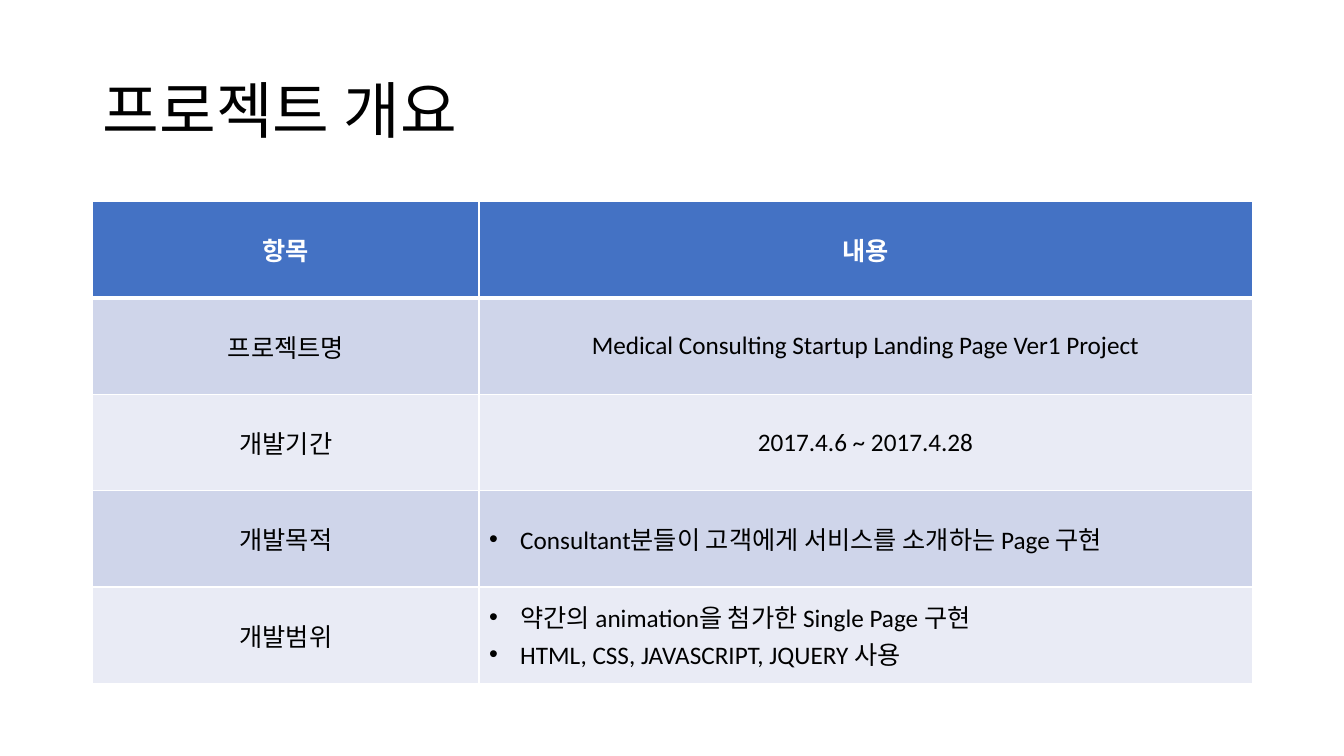
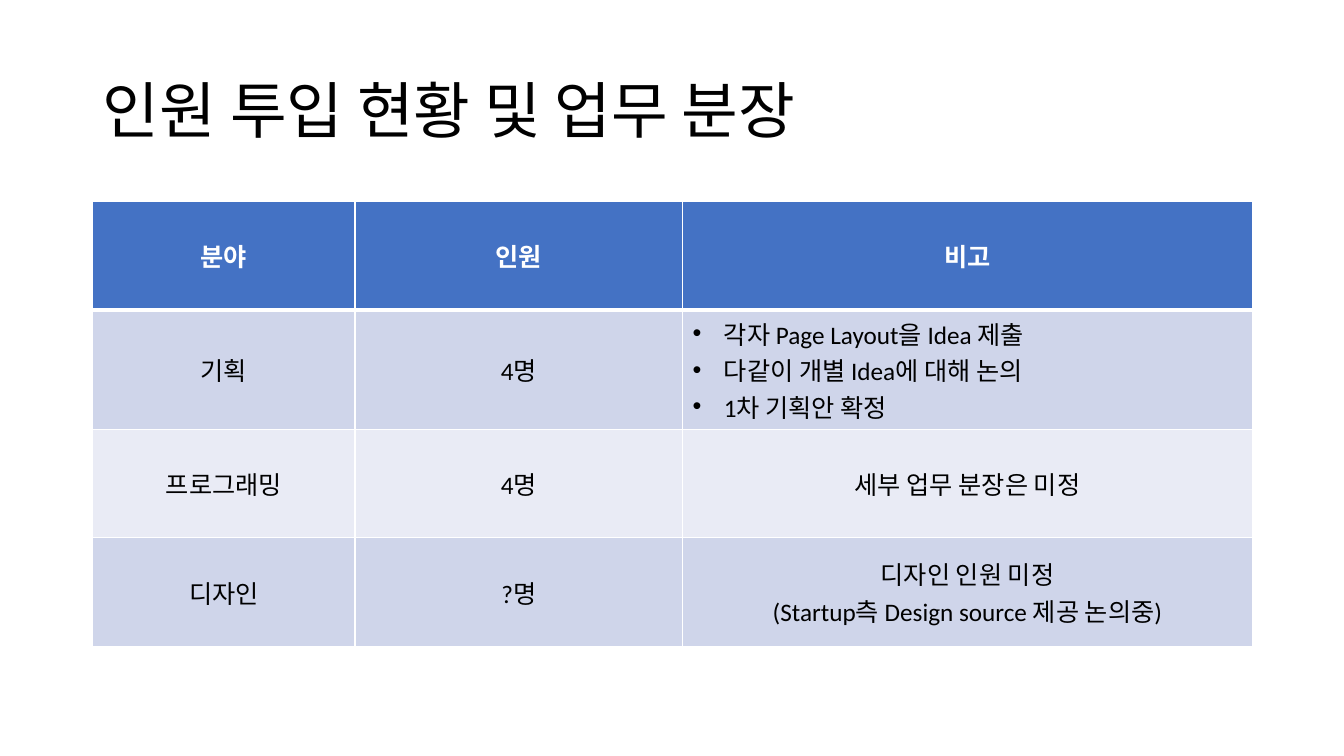
import pptx
import pptx.util
import pptx.dml.color
import pptx.enum.text
import pptx.oxml
import pptx.oxml.ns

Inches, Pt = pptx.util.Inches, pptx.util.Pt
RGBColor = pptx.dml.color.RGBColor
PP_ALIGN = pptx.enum.text.PP_ALIGN
MIDDLE = pptx.enum.text.MSO_ANCHOR.MIDDLE

# Each cell is a string (centred), a tuple (centred lines) or a list (bullets).
SLIDES = [
    {
        "title": "프로젝트 개요",
        "columns": [3.83, 7.67],
        "row_height": 0.956,
        "rows": [
            ("항목", "내용"),
            ("프로젝트명", "Medical Consulting Startup Landing Page Ver1 Project"),
            ("개발기간", "2017.4.6 ~ 2017.4.28"),
            ("개발목적", ["Consultant분들이 고객에게 서비스를 소개하는 Page 구현"]),
            ("개발범위", ["약간의 animation을 첨가한 Single Page 구현",
                      "HTML, CSS, JAVASCRIPT, JQUERY 사용"]),
        ],
    },
    {
        "title": "인원 투입 현황 및 업무 분장",
        "columns": [2.6, 3.25, 5.65],
        "row_height": 1.075,
        "rows": [
            ("분야", "인원", "비고"),
            ("기획", "4명", ["각자 Page Layout을 Idea 제출",
                         "다같이 개별 Idea에 대해 논의",
                         "1차 기획안 확정"]),
            ("프로그래밍", "4명", "세부 업무 분장은 미정"),
            ("디자인", "?명", ("디자인 인원 미정",
                          "(Startup측 Design source 제공 논의중)")),
        ],
    },
]

FONT = "Calibri"
BLACK = RGBColor(0x00, 0x00, 0x00)
WHITE = RGBColor(0xFF, 0xFF, 0xFF)
HEADER_FILL = RGBColor(0x44, 0x72, 0xC4)
BAND_FILLS = (RGBColor(0xE9, 0xEB, 0xF5), RGBColor(0xCF, 0xD5, 0xEA))
LEFT, WIDTH = Inches(0.92), Inches(11.5)
TITLE_TOP, TITLE_HEIGHT = Inches(0.4), Inches(1.45)
TABLE_TOP = Inches(2)
BULLET_INDENT = Inches(0.31)
THIN, THICK = Pt(1), Pt(3)


def style_font(paragraph, size, color, bold=False):
    """Set the font shared by all runs of a paragraph."""
    font = paragraph.font
    font.name, font.size, font.bold = FONT, Pt(size), bold
    font.color.rgb = color


def add_bullet(paragraph):
    """Give a paragraph a round bullet with a hanging indent."""
    properties = paragraph._p.get_or_add_pPr()
    properties.set("marL", str(BULLET_INDENT))
    properties.set("indent", str(-BULLET_INDENT))
    namespace = pptx.oxml.ns.nsdecls("a")
    for markup in (f'<a:buFont {namespace} typeface="Arial"/>',
                   f'<a:buChar {namespace} char="•"/>'):
        properties.append(pptx.oxml.parse_xml(markup))


def set_borders(cell, top, bottom):
    """Draw white cell borders; side borders are thin."""
    properties = cell._tc.get_or_add_tcPr()
    namespace = pptx.oxml.ns.nsdecls("a")
    edges = (("lnL", THIN), ("lnR", THIN), ("lnT", top), ("lnB", bottom))
    for position, (edge, width) in enumerate(edges):
        properties.insert(position, pptx.oxml.parse_xml(
            f'<a:{edge} {namespace} w="{width}"><a:solidFill>'
            f'<a:srgbClr val="{WHITE}"/></a:solidFill></a:{edge}>'))


def fill_cell(cell, content, row_index):
    """Write and format one cell according to its row and content type."""
    is_header = row_index == 0
    lines = [content] if isinstance(content, str) else content
    cell.text = "\n".join(lines)
    cell.vertical_anchor = MIDDLE
    cell.fill.solid()
    cell.fill.fore_color.rgb = HEADER_FILL if is_header else BAND_FILLS[row_index % 2]
    set_borders(cell, THICK if row_index == 1 else THIN, THICK if is_header else THIN)
    for paragraph in cell.text_frame.paragraphs:
        style_font(paragraph, 18, WHITE if is_header else BLACK, is_header)
        if isinstance(content, list):
            paragraph.alignment = PP_ALIGN.LEFT
            add_bullet(paragraph)
        else:
            paragraph.alignment = PP_ALIGN.CENTER


def add_title(page, text):
    """Place the title placeholder and fill it."""
    title = page.shapes.title
    title.left, title.top, title.width, title.height = LEFT, TITLE_TOP, WIDTH, TITLE_HEIGHT
    title.text_frame.text = text
    title.text_frame.vertical_anchor = MIDDLE
    paragraph = title.text_frame.paragraphs[0]
    paragraph.alignment = PP_ALIGN.LEFT
    paragraph.line_spacing = 0.9
    style_font(paragraph, 44, BLACK)


def add_grid(page, rows, columns, row_height):
    """Add a table with equal row heights and the given column widths."""
    height = Inches(row_height)
    table = page.shapes.add_table(len(rows), len(columns), LEFT, TABLE_TOP,
                                  WIDTH, height * len(rows)).table
    for column, width in zip(table.columns, columns):
        column.width = Inches(width)
    for row_index, contents in enumerate(rows):
        table.rows[row_index].height = height
        for column_index, content in enumerate(contents):
            fill_cell(table.cell(row_index, column_index), content, row_index)


def build():
    """Build all slides and save the deck."""
    deck = pptx.Presentation()
    deck.slide_width, deck.slide_height = Inches(13.33), Inches(7.5)
    title_only = deck.slide_layouts[5]
    for slide in SLIDES:
        page = deck.slides.add_slide(title_only)
        add_title(page, slide["title"])
        add_grid(page, slide["rows"], slide["columns"], slide["row_height"])
    deck.save("out.pptx")


build()
